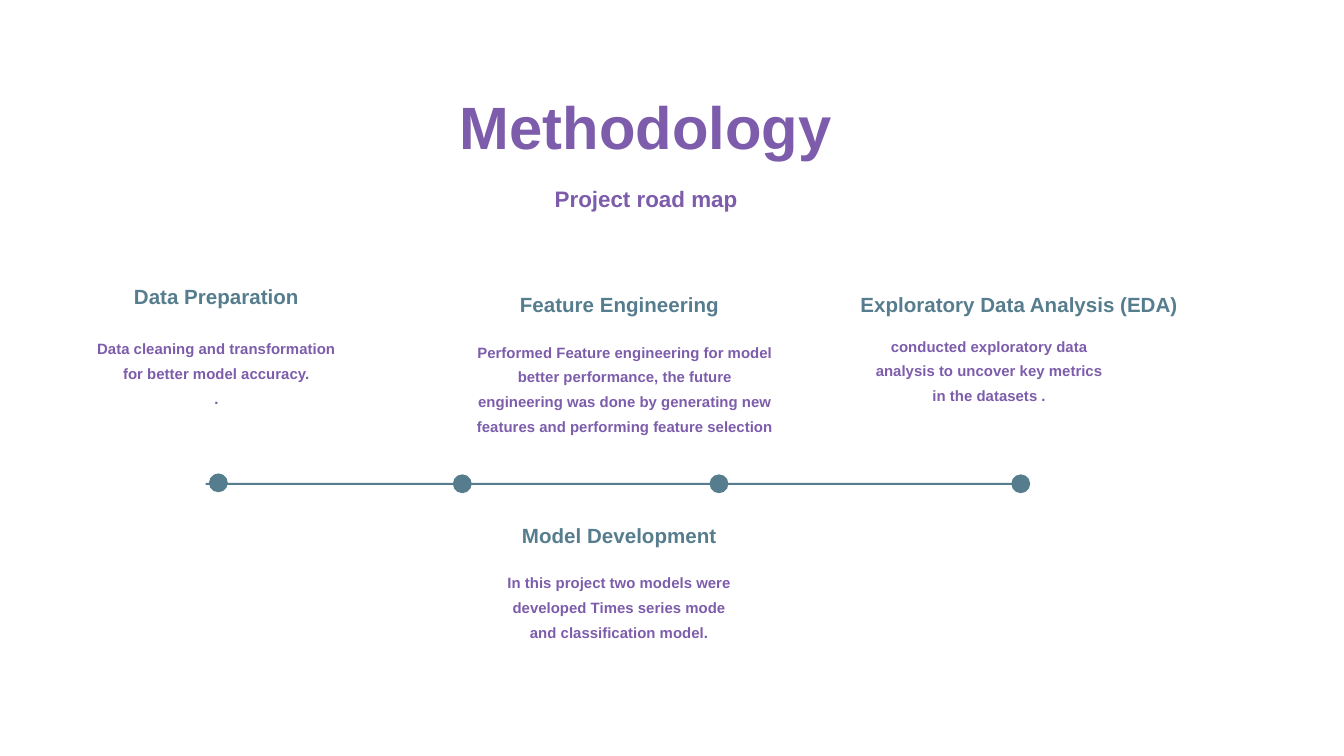
from pptx import Presentation
from pptx import util as u
from pptx.dml.color import RGBColor
from pptx.enum import shapes, text

WIDTH = u.Inches(10)
HEIGHT = WIDTH * 9 // 16
FONT = "Arial"
COLORS = {"purple": "7D5DAB", "teal": "567D8D", "white": "FFFFFF"}

DOT = u.Inches(0.14)
DOT_CENTERS = [(16.25, 63.87), (34.4, 64), (53.5, 64), (75.95, 64)]

STAGES = [
    ("Data Preparation", (6.9, 36.2, 18.4, 7.82),
     ["Data cleaning and transformation for better model accuracy.", "."],
     (7.2, 44.09, 17.8, 9.07)),
    ("Model Development", (36.88, 67.91, 18.4, 3.38),
     ["In this project two models were developed Times series mode "
      "and classification model."],
     (37.17, 75.02, 17.8, 9.07)),
    ("Exploratory Data Analysis (EDA)", (63.38, 37.33, 24.9, 3.38),
     ["conducted exploratory data analysis to uncover key metrics "
      "in the datasets ."],
     (64.7, 43.73, 17.8, 9.07)),
    ("Feature Engineering", (34.45, 37.33, 23.3, 3.38),
     ["Performed Feature engineering for model better performance, "
      "the future engineering was done by generating new features "
      "and performing feature selection"],
     (35.3, 44.5, 22.4, 12.44)),
]


def color(name):
    return RGBColor.from_string(COLORS[name])


def across(share):
    return round(WIDTH * share / 100)


def down(share):
    return round(HEIGHT * share / 100)


def place(box):
    x, y, w, h = box
    return across(x), down(y), across(w), down(h)


def add_filled(s, kind, *frame):
    sp = s.shapes.add_shape(kind, *frame)
    sp.shadow.inherit = False
    sp.fill.solid()
    sp.fill.fore_color.rgb = color("teal")
    sp.line.fill.background()


def add_text(parent, box, lines, size, hue, spacing=1.4):
    tf = parent.shapes.add_textbox(*place(box)).text_frame
    tf.word_wrap = True
    tf.auto_size = text.MSO_AUTO_SIZE.SHAPE_TO_FIT_TEXT
    tf.margin_left = tf.margin_right = tf.margin_top = tf.margin_bottom = 0
    for i, line in enumerate(lines):
        p = tf.add_paragraph() if i else tf.paragraphs[0]
        p.alignment = text.PP_ALIGN.CENTER
        p.line_spacing = spacing
        r = p.add_run()
        r.text = line
        r.font.name = FONT
        r.font.size = u.Pt(size)
        r.font.bold = True
        r.font.color.rgb = color(hue)


def add_timeline(s):
    add_filled(s, shapes.MSO_SHAPE.RECTANGLE, *place((15.3, 63.87, 60, 0.28)))
    for x, y in DOT_CENTERS:
        add_filled(s, shapes.MSO_SHAPE.OVAL,
                   across(x) - DOT // 2, down(y) - DOT // 2, DOT, DOT)


def add_header(s):
    group = s.shapes.add_group_shape()
    add_text(group, (24.07, 9.96, 48, 9.6), ["Methodology"], 32, "purple", 1.2)
    add_text(group, (29.43, 23.11, 37.3, 3.56), ["Project road map"], 12, "purple")


def add_stage(s, heading, heading_box, body, body_box):
    group = s.shapes.add_group_shape()
    add_text(group, heading_box, [heading], 11, "teal")
    add_text(group, body_box, body, 8, "purple", 1.38)


def main():
    prs = Presentation()
    prs.slide_width, prs.slide_height = WIDTH, HEIGHT
    s = prs.slides.add_slide(prs.slide_layouts[6])
    s.background.fill.solid()
    s.background.fill.fore_color.rgb = color("white")
    add_timeline(s)
    add_header(s)
    for stage in STAGES:
        add_stage(s, *stage)
    prs.save("out.pptx")


if __name__ == "__main__":
    main()
